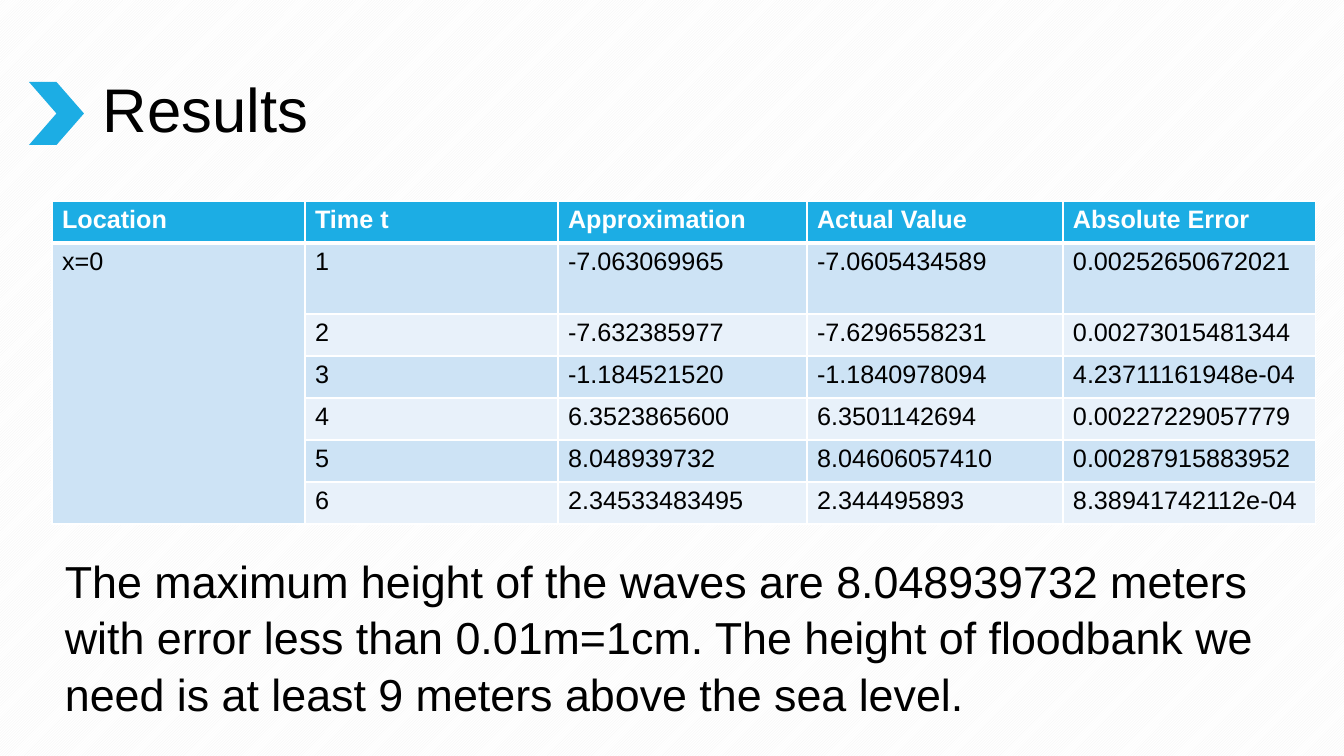
import pptx
import pptx.util
import pptx.dml.color
import pptx.enum.dml
import pptx.enum.shapes
import pptx.enum.text
import pptx.oxml
import pptx.oxml.ns

RGBColor = pptx.dml.color.RGBColor
BLACK = RGBColor(0x00, 0x00, 0x00)
WHITE = RGBColor(0xFF, 0xFF, 0xFF)
STRIPE = RGBColor(0xF2, 0xF2, 0xF2)
ACCENT = RGBColor(0x1C, 0xAD, 0xE4)
BAND_DARK = RGBColor(0xCD, 0xE3, 0xF5)
BAND_LIGHT = RGBColor(0xE8, 0xF1, 0xFA)

TITLE = "Results"
HEADINGS = ("Location", "Time t", "Approximation", "Actual Value", "Absolute Error")
LOCATION = "x=0"
RESULTS = [
    ("1", "-7.063069965", "-7.0605434589", "0.00252650672021"),
    ("2", "-7.632385977", "-7.6296558231", "0.00273015481344"),
    ("3", "-1.184521520", "-1.1840978094", "4.23711161948e-04"),
    ("4", "6.3523865600", "6.3501142694", "0.00227229057779"),
    ("5", "8.048939732", "8.04606057410", "0.00287915883952"),
    ("6", "2.34533483495", "2.344495893", "8.38941742112e-04"),
]
CONCLUSION = (
    "The maximum height of the waves are 8.048939732 meters with error less than "
    "0.01m=1cm. The height of floodbank we need is at least 9 meters above the sea level."
)

COLUMN_WIDTHS = (253, 253, 249, 256, 253)
ROW_HEIGHT, FIRST_RESULT_HEIGHT = 42, 71
ROW_HEIGHTS = [ROW_HEIGHT, FIRST_RESULT_HEIGHT] + [ROW_HEIGHT] * (len(RESULTS) - 1)


def px(length):
    return round(length * 914400 / 100.8)


def box(*lengths):
    return [px(length) for length in lengths]


def write(frame, text, size, color=BLACK, bold=False, spacing=None,
          anchor=pptx.enum.text.MSO_ANCHOR.TOP):
    frame.word_wrap = True
    frame.vertical_anchor = anchor
    paragraph = frame.paragraphs[0]
    paragraph.line_spacing = spacing
    run = paragraph.add_run()
    run.text = text
    run.font.name = "Arial"
    run.font.size = pptx.util.Pt(size)
    run.font.bold = bold
    run.font.color.rgb = color


def rule_cell(cell, **widths):
    properties = cell._tc.get_or_add_tcPr()
    for position, side in enumerate("LRTB"):
        width = pptx.util.Pt(widths.get(side, 1))
        properties.insert(position, pptx.oxml.parse_xml(
            f'<a:ln{side} {pptx.oxml.ns.nsdecls("a")} w="{width}">'
            f'<a:solidFill><a:srgbClr val="{WHITE}"/></a:solidFill></a:ln{side}>'))


deck = pptx.Presentation()
deck.slide_width, deck.slide_height = box(1344, 756)
slide = deck.slides.add_slide(deck.slide_layouts[6])
backdrop = slide.background.fill
backdrop.patterned()
backdrop.pattern = pptx.enum.dml.MSO_PATTERN.LIGHT_UPWARD_DIAGONAL
backdrop.fore_color.rgb = STRIPE
backdrop.back_color.rgb = WHITE

chevron = slide.shapes.add_shape(
    pptx.enum.shapes.MSO_SHAPE.CHEVRON, *box(29, 82, 55, 63))
chevron.shadow.inherit = False
chevron.fill.solid()
chevron.fill.fore_color.rgb = ACCENT
chevron.line.fill.background()

title = slide.shapes.add_textbox(*box(93, 40, 1159, 146))
write(title.text_frame, TITLE, 44, spacing=0.9, anchor=pptx.enum.text.MSO_ANCHOR.MIDDLE)

rows = [HEADINGS] + [
    (LOCATION if index == 0 else "",) + result for index, result in enumerate(RESULTS)]
table = slide.shapes.add_table(
    len(rows), len(HEADINGS),
    *box(52, 201, sum(COLUMN_WIDTHS), sum(ROW_HEIGHTS))).table
for column, width in zip(table.columns, COLUMN_WIDTHS):
    column.width = px(width)
for row, height in zip(table.rows, ROW_HEIGHTS):
    row.height = px(height)
table.cell(1, 0).merge(table.cell(len(RESULTS), 0))

for r, values in enumerate(rows):
    heading = r == 0
    band = ACCENT if heading else BAND_DARK if r % 2 else BAND_LIGHT
    for c, value in enumerate(values):
        cell = table.cell(r, c)
        rule_cell(cell, T=3 if r == 1 else 1, B=3 if heading else 1)
        cell.fill.solid()
        cell.fill.fore_color.rgb = BAND_DARK if c == 0 and not heading else band
        if value:
            write(cell.text_frame, value, 18, color=WHITE if heading else BLACK, bold=heading)

conclusion = slide.shapes.add_textbox(*box(55, 546, 1257, 173))
write(conclusion.text_frame, CONCLUSION, 32, spacing=1.05)

deck.save("out.pptx")
